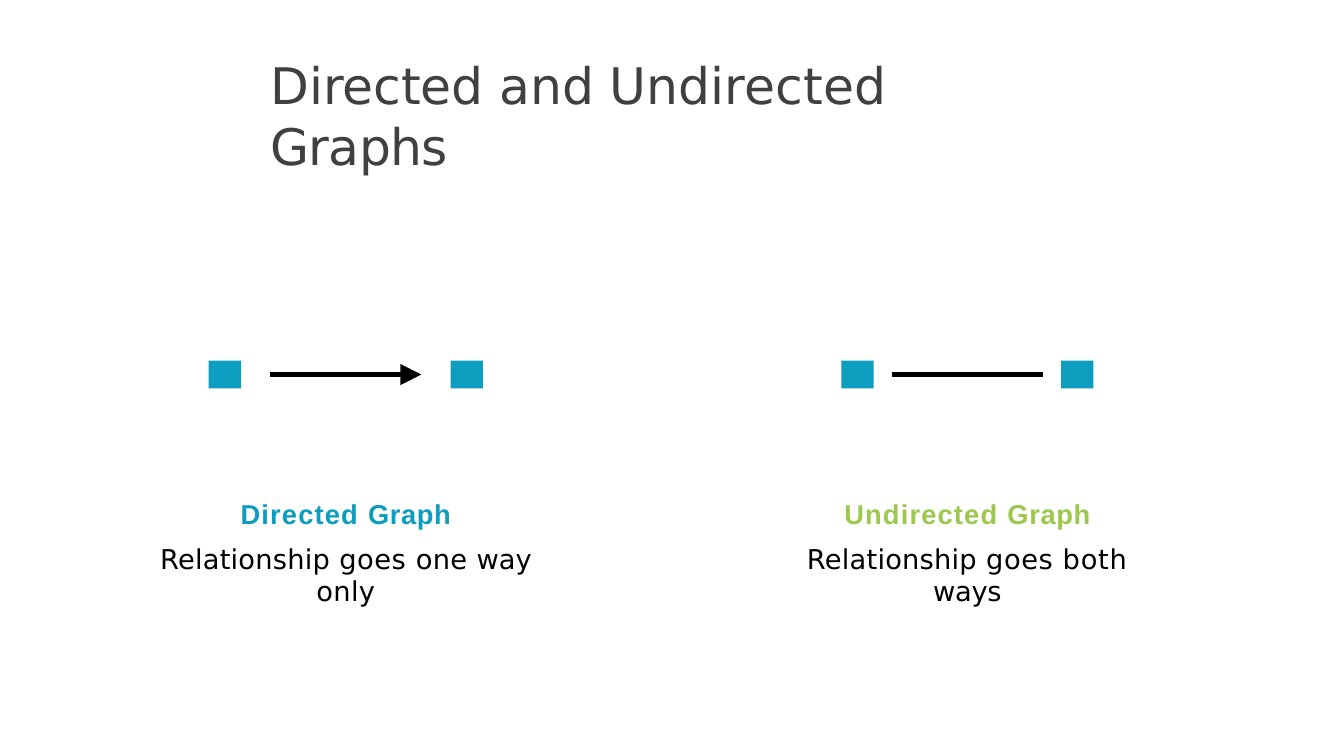
from lxml.etree import SubElement
from pptx import Presentation
from pptx.dml.color import RGBColor
from pptx.enum.shapes import MSO_CONNECTOR, MSO_SHAPE
from pptx.enum.text import MSO_ANCHOR, MSO_AUTO_SIZE, PP_ALIGN
from pptx.oxml.ns import qn
from pptx.util import Pt

BLUE = RGBColor(0x0C, 0x9D, 0xBF)
GREEN = RGBColor(0x9B, 0xC8, 0x4D)
GREY = RGBColor(0x40, 0x40, 0x40)
BLACK = RGBColor(0, 0, 0)

NODE_WIDTH, NODE_HEIGHT = 30.8, 26.6
EDGE_LENGTH, EDGE_WEIGHT = 144, 4
NODE_MIDDLE = 356.7
CAPTION_TOP, CAPTION_HEIGHT = 460.1, 87.8

TITLE_FONT = {"name": "DejaVu Sans", "size": Pt(48), "bold": False}
HEADING_FONT = {"name": "Arial", "size": Pt(26), "bold": True}
DETAIL_FONT = {"name": "DejaVu Sans", "size": Pt(26), "bold": False}

TITLE = [("Directed ", -0.1), ("and ", -0.2), ("Undirected ", 0.1), ("Graphs", -0.7)]
# Each panel: left, width, node distance, directed, heading colour, heading, detail
PANELS = [
    (121.7, 415.4, 230.4, True, BLUE,
     [("Directed ", 1.1), ("Graph", 0.6)],
     [("Relationship ", 0.2), ("goes ", 0.5), ("one ", 0.3), ("way ", -0.1), ("only", 0.3)]),
    (733, 376.6, 209.3, False, GREEN,
     [("Undirected ", 1.1), ("Graph", 0.6)],
     [("Relationship ", 0.2), ("goes ", 0.5), ("both ", 0.7), ("ways", -0.3)]),
]


def place(placeholder, left, top, width, height, inset_top):
    box = {"left": left, "top": top, "width": width, "height": height}
    for side, length in box.items():
        setattr(placeholder, side, Pt(length))
    frame = placeholder.text_frame
    settings = {"margin_left": 0, "margin_right": 0, "margin_bottom": 0,
                "margin_top": Pt(inset_top), "word_wrap": True,
                "vertical_anchor": MSO_ANCHOR.TOP,
                "auto_size": MSO_AUTO_SIZE.SHAPE_TO_FIT_TEXT}
    for name, value in settings.items():
        setattr(frame, name, value)
    return frame


def write(paragraph, pieces, font, color, alignment, space_before=0):
    """Fill a plain paragraph with (text, letter spacing in points) pieces."""
    properties = paragraph._p.get_or_add_pPr()
    properties.set("marL", "0")
    properties.set("indent", "0")
    SubElement(properties, qn("a:buNone"))
    paragraph.alignment = alignment
    paragraph.space_before = Pt(space_before)
    for text, spacing in pieces:
        run = paragraph.add_run()
        run.text = text
        for name, value in font.items():
            setattr(run.font, name, value)
        run.font.color.rgb = color
        run.font._element.set("spc", str(round(spacing * 100)))


def add_title(slide, left, top, width, height):
    frame = place(slide.shapes.title, left, top, width, height, 0.7)
    write(frame.paragraphs[0], TITLE, TITLE_FONT, GREY, PP_ALIGN.LEFT)


def add_node(slide, center):
    node = slide.shapes.add_shape(
        MSO_SHAPE.RECTANGLE, Pt(center - NODE_WIDTH / 2),
        Pt(NODE_MIDDLE - NODE_HEIGHT / 2), Pt(NODE_WIDTH), Pt(NODE_HEIGHT))
    node.shadow.inherit = False
    node.fill.solid()
    node.fill.fore_color.rgb = BLUE
    node.line.fill.background()


def add_edge(slide, center, directed):
    edge = slide.shapes.add_connector(
        MSO_CONNECTOR.STRAIGHT, Pt(center - EDGE_LENGTH / 2), Pt(NODE_MIDDLE),
        Pt(center + EDGE_LENGTH / 2), Pt(NODE_MIDDLE))
    edge.line.color.rgb = BLACK
    edge.line.width = Pt(EDGE_WEIGHT)
    if directed:
        SubElement(edge.line._get_or_add_ln(), qn("a:tailEnd"),
                   type="triangle", w="lg", len="lg")
    SubElement(edge._element.spPr, qn("a:effectLst"))


def add_graph_panel(slide, caption, left, width, distance, directed, color, heading, detail):
    """Place two nodes and their edge, centred above the caption."""
    frame = place(caption, left, CAPTION_TOP, width, CAPTION_HEIGHT, 13)
    write(frame.paragraphs[0], heading, HEADING_FONT, color, PP_ALIGN.CENTER)
    write(frame.add_paragraph(), detail, DETAIL_FONT, BLACK, PP_ALIGN.CENTER, 11.8)
    center = left + width / 2
    add_edge(slide, center, directed)
    for side in (-1, 1):
        add_node(slide, center + side * distance / 2)


def main():
    deck = Presentation()
    deck.slide_width, deck.slide_height = Pt(1280), Pt(720)
    slide = deck.slides.add_slide(deck.slide_layouts.get_by_name("Two Content"))
    add_title(slide, 257.8, 51.1, 764.6, 59.8)
    captions = [slide.placeholders[1], slide.placeholders[2]]
    for caption, panel in zip(captions, PANELS):
        add_graph_panel(slide, caption, *panel)
    deck.save("out.pptx")


if __name__ == "__main__":
    main()
